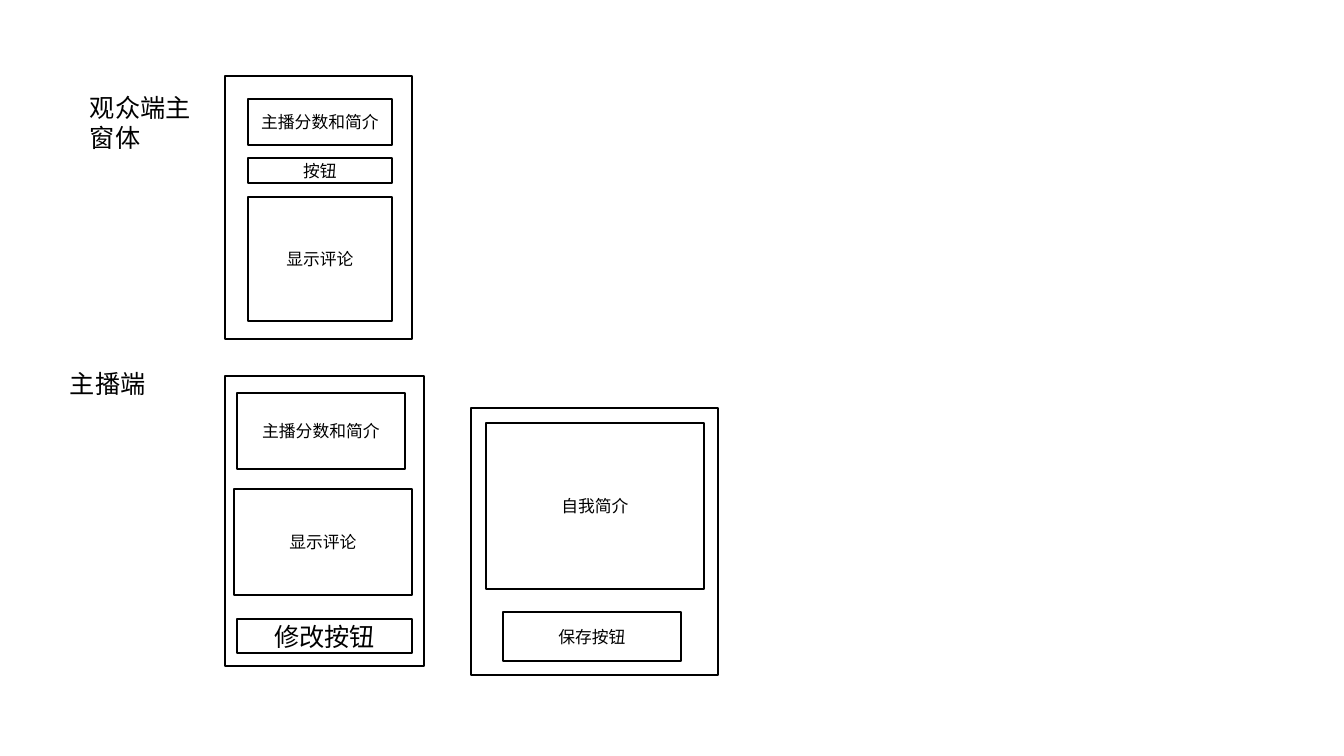
from lxml.etree import SubElement
from pptx import Presentation
from pptx.dml.color import RGBColor
from pptx.enum.shapes import MSO_SHAPE as Shape
from pptx.enum.text import MSO_ANCHOR as Anchor, MSO_AUTO_SIZE as AutoSize, PP_ALIGN as Align
from pptx.oxml.ns import qn
from pptx.util import Emu, Pt

SCALE = 914400 / 100.8


def px(length):
    return Emu(round(length * SCALE))


def color(value):
    return RGBColor.from_string(value)


def write(frame, text, size=12, font="Noto Sans CJK SC", ink="000000",
          align=Align.LEFT, anchor=Anchor.TOP):
    frame.word_wrap = True
    frame.vertical_anchor = anchor
    paragraph = frame.paragraphs[0]
    paragraph.alignment = align
    run = paragraph.add_run()
    run.text = text
    run.font.size = Pt(size)
    run.font.name = font
    run.font.color.rgb = color(ink)
    east_asian = SubElement(run.font._element, qn("a:ea"))
    east_asian.set("typeface", font)


class Wireframe:
    ink = "000000"
    paper = "FFFFFF"
    line_width = 1
    label_size = 18

    def __init__(self, slide):
        self.slide = slide

    def box(self, bounds, text="", size=12):
        shape = self.slide.shapes.add_shape(Shape.RECTANGLE, *map(px, bounds))
        shape.shadow.inherit = False
        shape.fill.solid()
        shape.fill.fore_color.rgb = color(self.paper)
        shape.line.color.rgb = color(self.ink)
        shape.line.width = Pt(self.line_width)
        if text:
            write(shape.text_frame, text, size=size, ink=self.ink,
                  align=Align.CENTER, anchor=Anchor.MIDDLE)

    def label(self, bounds, text):
        frame = self.slide.shapes.add_textbox(*map(px, bounds)).text_frame
        write(frame, text, size=self.label_size, ink=self.ink)
        frame.auto_size = AutoSize.SHAPE_TO_FIT_TEXT

    def window(self, bounds, parts):
        self.box(bounds)
        for part in parts:
            self.box(*part)


presentation = Presentation()
presentation.slide_width = px(1344)
presentation.slide_height = px(756)
wireframe = Wireframe(presentation.slides.add_slide(presentation.slide_layouts[6]))

wireframe.window((225, 76, 187, 263), [
    ((248, 99, 144, 46), "主播分数和简介"),
    ((248, 197, 144, 124), "显示评论"),
    ((248, 158, 144, 25), "按钮"),
])
wireframe.label((80, 87, 144, 72), "观众端主窗体")

wireframe.window((225, 376, 199, 290), [
    ((237, 393, 168, 76), "主播分数和简介"),
    ((234, 489, 178, 106), "显示评论"),
    ((237, 619, 175, 34), "修改按钮", 18),
])
wireframe.label((60, 363, 105, 40), "主播端")

wireframe.window((471, 408, 247, 267), [
    ((486, 423, 218, 166), "自我简介"),
    ((503, 612, 178, 49), "保存按钮"),
])

presentation.save("out.pptx")
